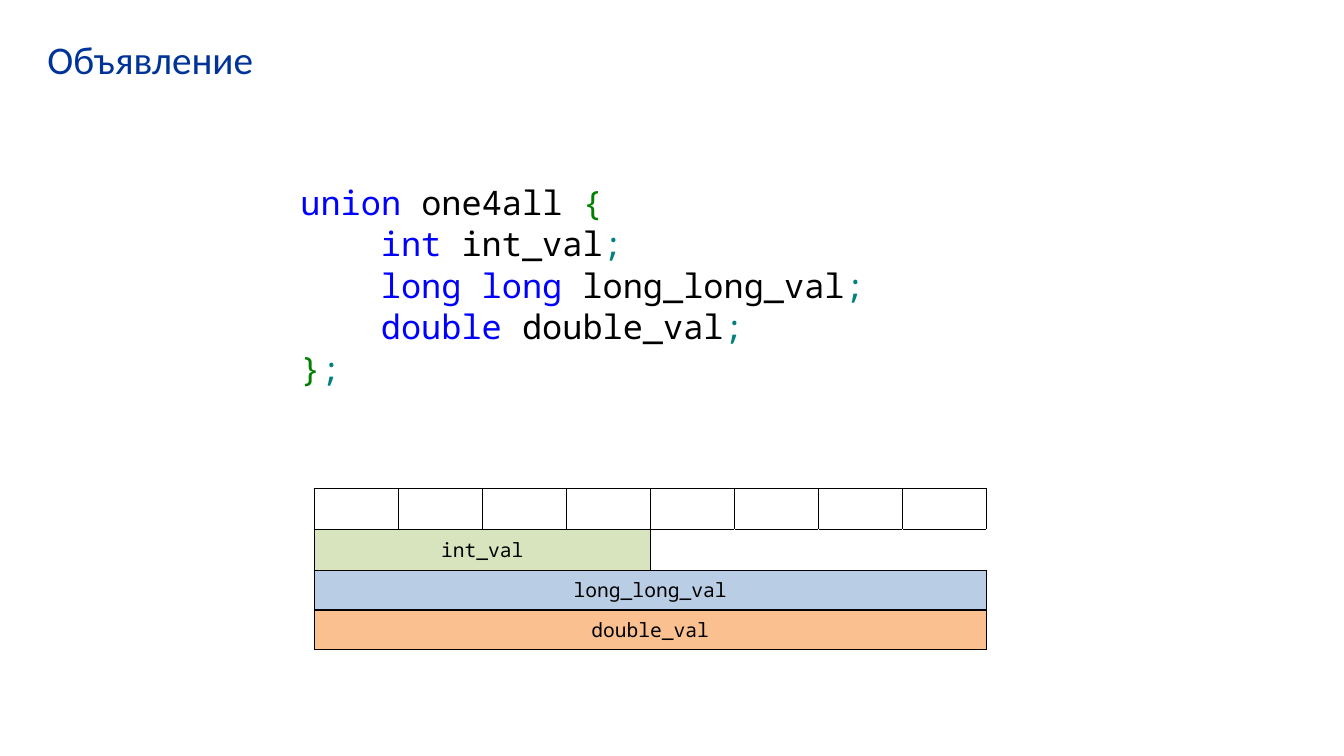
from pptx import Presentation
from pptx import util as u
from pptx.dml.color import RGBColor
from pptx.enum import text
from pptx.oxml import parse_xml
from pptx.oxml.ns import nsdecls

HEADING = "Объявление"
DECLARATION = [
    (0, [("union", "keyword"), (" one4all ", "ink"), ("{", "brace")]),
    (1, [("int ", "keyword"), ("int_val", "ink"), (";", "mark")]),
    (1, [("long long ", "keyword"), ("long_long_val", "ink"), (";", "mark")]),
    (1, [("double ", "keyword"), ("double_val", "ink"), (";", "mark")]),
    (0, [("}", "brace"), (";", "mark")]),
]
BYTES = 8
MEMBERS = [("int_val", 4, "int"), ("long_long_val", 8, "long"), ("double_val", 8, "double")]
ROW_HEIGHTS = [1.03, 1.03, 1, 1]

THEME = {
    "colors": {
        "heading": "003399", "keyword": "0000FF", "ink": "000000",
        "brace": "008000", "mark": "008080", "paper": "FFFFFF",
        "int": "D7E4BD", "long": "B9CDE5", "double": "FAC090",
    },
    "sizes": {"heading": 28, "code": 24, "member": 14},
    "fonts": {"heading": "Calibri", "code": "Noto Sans Mono"},
}
FRAME = {"word_wrap": True, "auto_size": text.MSO_AUTO_SIZE.NONE,
         "vertical_anchor": text.MSO_ANCHOR.TOP}
CELL = {"margin_top": 0, "margin_bottom": 0, "vertical_anchor": text.MSO_ANCHOR.MIDDLE}
PLAIN_TABLE = {"first_row": False, "horz_banding": False}
INDENT = u.Cm(2.03)


def apply(target, values):
    for name, value in values.items():
        setattr(target, name, value)


def color(name):
    return RGBColor.from_string(THEME["colors"][name])


def write(paragraph, words, size, font, ink):
    run = paragraph.add_run()
    run.text = words
    apply(run.font, {"size": u.Pt(THEME["sizes"][size]), "name": THEME["fonts"][font]})
    run.font.color.rgb = color(ink)


def set_borders(cell, sides):
    properties = cell._tc.get_or_add_tcPr()
    for position, (side, name) in enumerate(sides.items()):
        properties.insert(position, parse_xml(
            f'<a:ln{side} {nsdecls("a")} w="12700"><a:solidFill>'
            f'<a:srgbClr val="{THEME["colors"][name]}"/></a:solidFill></a:ln{side}>'))


def add_heading(slide):
    heading = slide.shapes.title
    apply(heading, {"left": u.Cm(0.94), "top": u.Cm(0.76),
                    "width": u.Cm(32), "height": u.Cm(2.36)})
    apply(heading.text_frame, FRAME)
    line = heading.text_frame.paragraphs[0]
    line.alignment = text.PP_ALIGN.LEFT
    write(line, HEADING, "heading", "heading", "heading")


def add_declaration(slide):
    code = slide.shapes.add_textbox(u.Cm(7.32), u.Cm(4.45), u.Cm(22.12), u.Cm(12.57)).text_frame
    apply(code, FRAME)
    for number, (depth, tokens) in enumerate(DECLARATION):
        line = code.add_paragraph() if number else code.paragraphs[0]
        line.space_before = u.Pt(0.9)
        line._p.get_or_add_pPr().set("marL", str(depth * INDENT))
        for words, ink in tokens:
            write(line, words, "code", "code", ink)


def add_memory(slide):
    memory = slide.shapes.add_table(
        len(ROW_HEIGHTS), BYTES, u.Cm(7.92), u.Cm(12.31),
        u.Cm(16.94), u.Cm(sum(ROW_HEIGHTS))).table
    apply(memory, PLAIN_TABLE)
    for row, height in zip(memory.rows, ROW_HEIGHTS):
        row.height = u.Cm(height)
    used = [BYTES] + [span for _, span, _ in MEMBERS]
    for row, span in enumerate(used):
        for byte in range(BYTES):
            cell = memory.cell(row, byte)
            apply(cell, CELL)
            cell.fill.background()
            set_borders(cell, {
                "L": "ink" if byte <= span else "paper",
                "R": "ink" if byte < span else "paper",
                "T": "ink", "B": "ink"})
    for row, (member, span, fill) in enumerate(MEMBERS, 1):
        cell = memory.cell(row, 0)
        cell.merge(memory.cell(row, span - 1))
        cell.fill.solid()
        cell.fill.fore_color.rgb = color(fill)
        label = cell.text_frame.paragraphs[0]
        label.alignment = text.PP_ALIGN.CENTER
        write(label, member, "member", "code", "ink")


def main():
    deck = Presentation()
    apply(deck, {"slide_width": u.Cm(33.87), "slide_height": u.Cm(19.05)})
    slide = deck.slides.add_slide(deck.slide_layouts[5])
    add_heading(slide)
    add_declaration(slide)
    add_memory(slide)
    deck.save("out.pptx")


if __name__ == "__main__":
    main()
